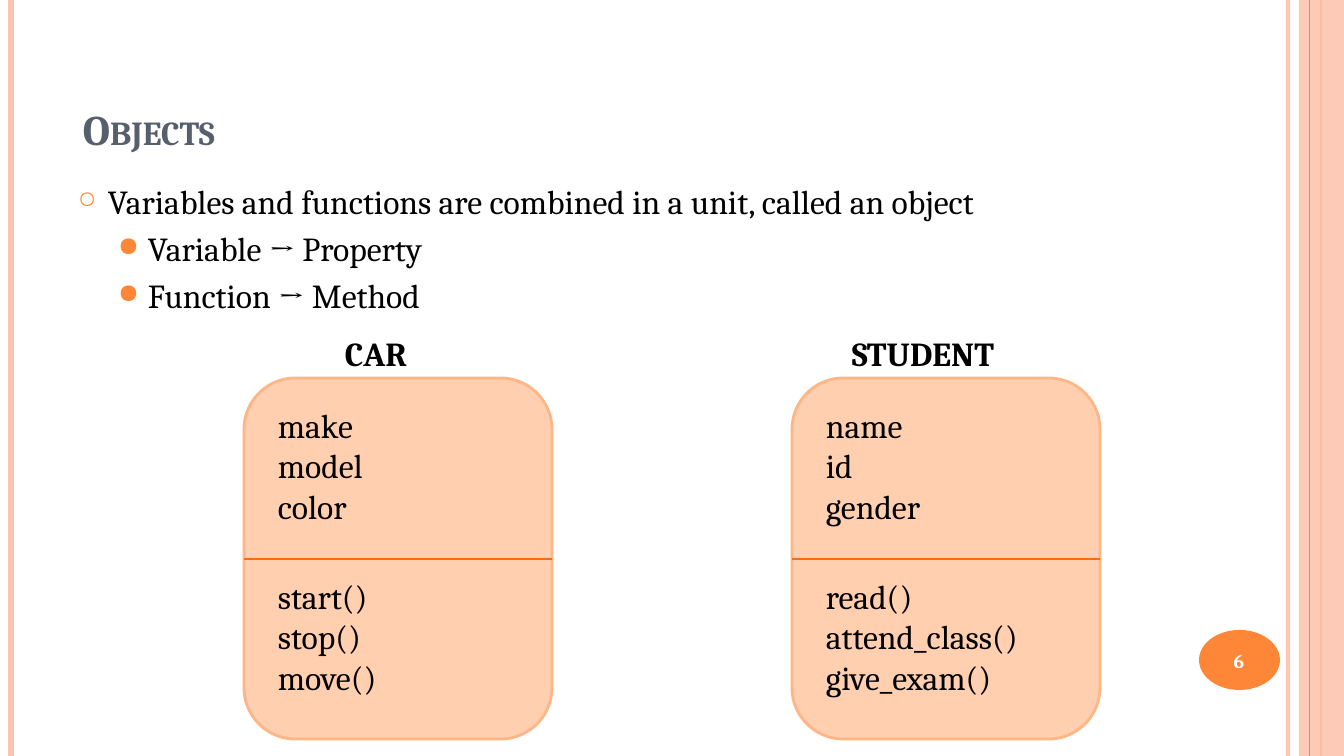
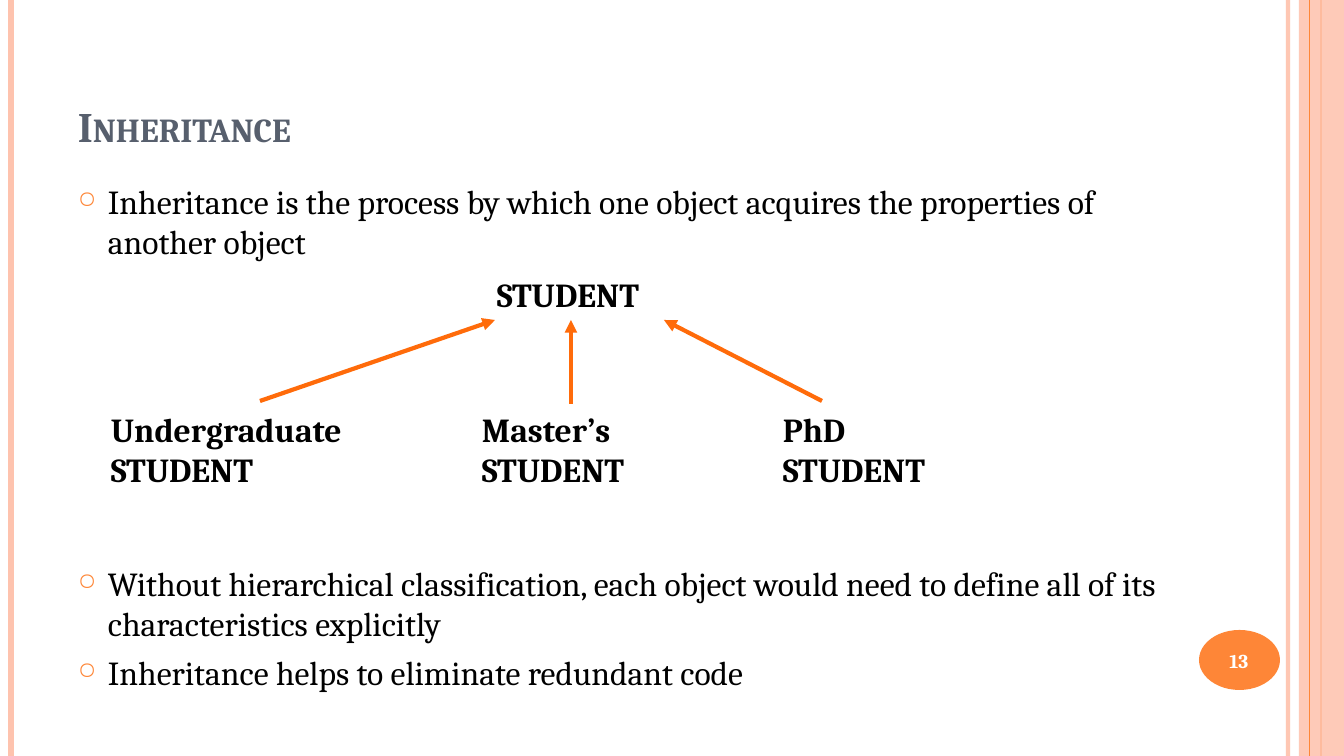
from lxml.etree import SubElement
from pptx import Presentation
from pptx.dml.color import RGBColor
from pptx.enum.shapes import MSO_CONNECTOR, MSO_SHAPE
from pptx.enum.text import MSO_ANCHOR, PP_ALIGN
from pptx.oxml.ns import qn
from pptx.util import Emu, Pt

PX = 914400 / 100.8
WIDTH, HEIGHT = 1344, 756
FONT = "Cambria"
INK, SLATE, WHITE = "000000", "575F6D", "FFFFFF"
ORANGE, DEEP_ORANGE, PINK = "FE8637", "FF6B0A", "FEC3AE"
CARD_FILL, CARD_EDGE = "FFCFAF", "FEB687"

# Bullet levels: character, size in percent, text indent in pixels, space before in points
BULLETS = [("○", 70, 30, 6), ("●", 80, 70, 4.8)]
HANGING = 30


def px(*lengths):
    return [Emu(round(length * PX)) for length in lengths]


def color(hex_text):
    return RGBColor.from_string(hex_text)


def set_opacity(shape, percent):
    for tint in shape._element.spPr.iter(qn("a:srgbClr")):
        SubElement(tint, qn("a:alpha"), val=str(percent * 1000))


def add_bullet(paragraph, level):
    char, size, indent, before = BULLETS[level]
    paragraph.space_before = Pt(before)
    props = paragraph._p.get_or_add_pPr()
    left, hanging = px(indent, HANGING)
    props.set("marL", str(left))
    props.set("indent", str(-hanging))
    SubElement(SubElement(props, qn("a:buClr")), qn("a:srgbClr"), val=ORANGE)
    SubElement(props, qn("a:buSzPct"), val=str(size * 1000))
    SubElement(props, qn("a:buChar"), char=char)


class Deck:
    def __init__(self):
        self.prs = Presentation()
        self.prs.slide_width, self.prs.slide_height = px(WIDTH, HEIGHT)

    # Elements
    def text(self, lines, left, top, width, height, size=24, bold=False, fill=INK,
             align=PP_ALIGN.LEFT, anchor=MSO_ANCHOR.TOP, small_caps=False, levels=()):
        box = self.slide.shapes.add_textbox(*px(left, top, width, height))
        frame = box.text_frame
        frame.word_wrap = True
        frame.vertical_anchor = anchor
        frame.text = "\n".join(lines)
        for paragraph in frame.paragraphs:
            paragraph.alignment = align
            run = paragraph.runs[0]
            run.font.name, run.font.size, run.font.bold = FONT, Pt(size), bold
            run.font.color.rgb = color(fill)
            if small_caps:
                run._r.get_or_add_rPr().set("cap", "small")
        for paragraph, level in zip(frame.paragraphs, levels):
            add_bullet(paragraph, level)

    def bullets(self, items, top, height):
        levels, lines = zip(*items)
        self.text(lines, 68, top, 1131, height, levels=levels)

    def shape(self, preset, left, top, width, height, fill, edge=None, edge_width=2):
        shape = self.slide.shapes.add_shape(preset, *px(left, top, width, height))
        shape.shadow.inherit = False
        shape.fill.solid()
        shape.fill.fore_color.rgb = color(fill)
        if edge:
            shape.line.color.rgb = color(edge)
            shape.line.width = Pt(edge_width)
        else:
            shape.line.fill.background()
        return shape

    def line(self, start, end, stroke, width, arrow=False):
        line = self.slide.shapes.add_connector(MSO_CONNECTOR.STRAIGHT, *px(*start, *end))
        line.line.color.rgb = color(stroke)
        line.line.width = Pt(width)
        props = line._element.spPr
        if arrow:
            SubElement(props.find(qn("a:ln")), qn("a:tailEnd"), type="triangle")
        SubElement(props, qn("a:effectLst"))
        return line

    # Shared page: side stripes, number badge and title
    def page(self, title, number, title_left, title_bottom):
        self.slide = self.prs.slides.add_slide(self.prs.slide_layouts[6])
        inner_stripe = self.stripe(1288, PINK, 3)
        set_opacity(inner_stripe, 93)
        self.stripe(11, PINK, 4.5)
        self.stripe(1321, ORANGE, 1.5)
        band = self.shape(MSO_SHAPE.RECTANGLE, 1299, 0, 45, HEIGHT, PINK)
        set_opacity(band, 87)
        self.stripe(1310, ORANGE, 0.75)
        self.shape(MSO_SHAPE.OVAL, 1199, 630, 81, 60, ORANGE)
        self.text([str(number)], 1194, 632, 90, 57, size=14, bold=True, fill=WHITE,
                  align=PP_ALIGN.CENTER, anchor=MSO_ANCHOR.MIDDLE)
        self.text([title], title_left, title_bottom - 126, 1121, 126, size=30, bold=True,
                  fill=SLATE, anchor=MSO_ANCHOR.BOTTOM, small_caps=True)

    def stripe(self, x, stroke, width):
        return self.line((x, 0), (x, HEIGHT), stroke, width)

    def object_card(self, name, name_left, left, properties, methods):
        self.text([name], name_left, 328, 217, 50, bold=True)
        self.shape(MSO_SHAPE.ROUNDED_RECTANGLE, left, 378, 308, 361, CARD_FILL, CARD_EDGE)
        self.line((left, 559), (left + 308, 559), DEEP_ORANGE, 1)
        for members, top in ((properties, 400), (methods, 571)):
            self.text(members, left + 24, top, 250, 132)


deck = Deck()

# Objects
deck.page("Objects", 6, 73, 159)
deck.bullets([
    (0, "Variables and functions are combined in a unit, called an object"),
    (1, "Variable → Property"),
    (1, "Function → Method"),
], 176, 150)
deck.object_card("STUDENT", 842, 792, ["name", "id", "gender"],
                 ["read()", "attend_class()", "give_exam()"])
deck.object_card("CAR", 335, 244, ["make", "model", "color"],
                 ["start()", "stop()", "move()"])

# Inheritance
deck.page("Inheritance", 13, 68, 156)
deck.bullets([(0, "Inheritance is the process by which one object acquires "
                  "the properties of another object")], 176, 95)
deck.bullets([
    (0, "Without hierarchical classification, each object would need to define "
        "all of its characteristics explicitly"),
    (0, "Inheritance helps to eliminate redundant code"),
], 558, 150)

# Class hierarchy: each kind of student points up to the parent
deck.text(["STUDENT"], 487, 269, 217, 50, bold=True)
for kind, left, arrow_start, arrow_tip in (
    ("Undergraduate", 101, (260, 401), (495, 320)),
    ("Master’s", 472, (571, 404), (571, 320)),
    ("PhD", 773, (822, 401), (664, 320)),
):
    deck.text([kind, "STUDENT"], left, 404, 301, 92, bold=True)
    deck.line(arrow_start, arrow_tip, DEEP_ORANGE, 3, arrow=True)

deck.prs.save("out.pptx")
